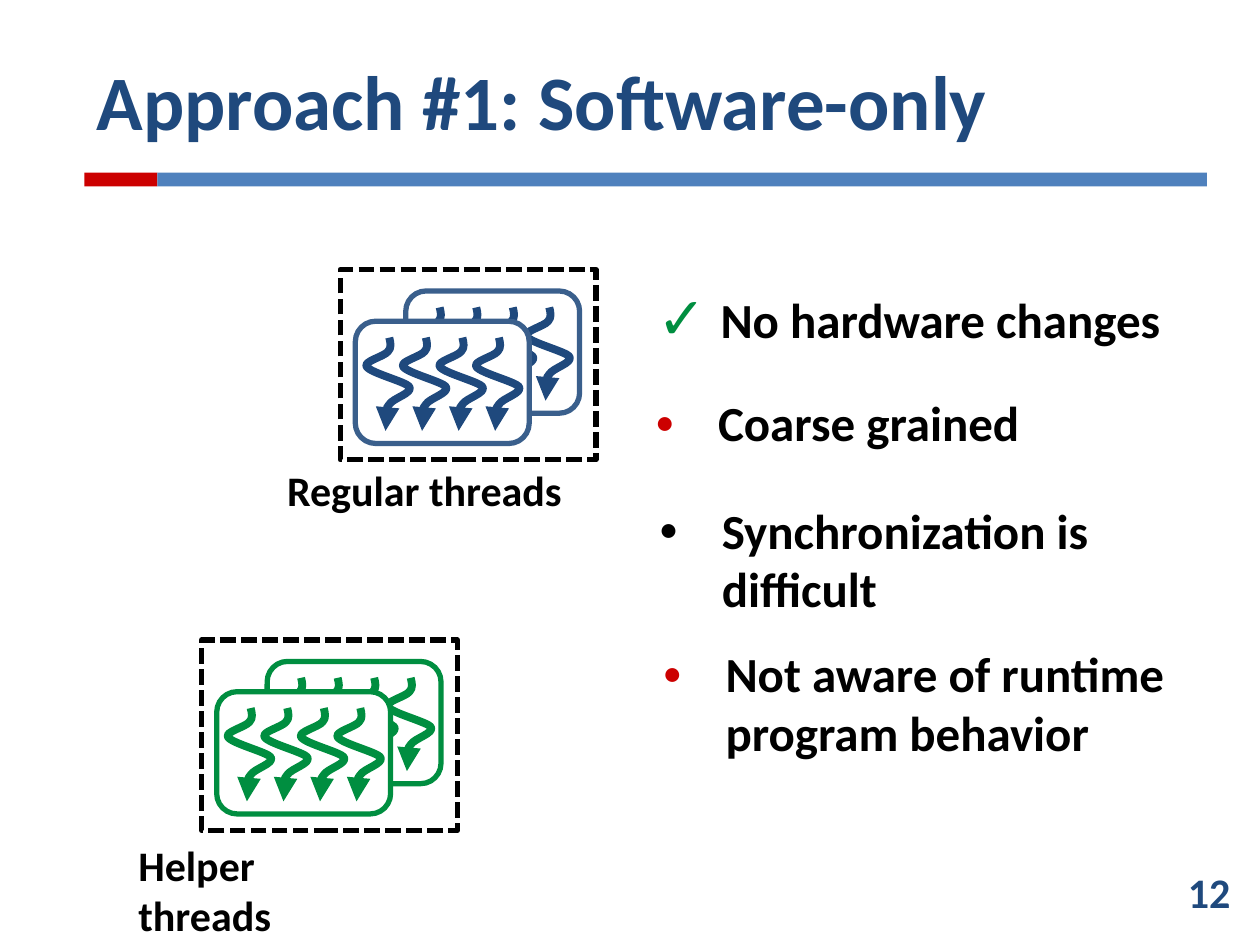
from lxml import etree
from pptx import Presentation
from pptx import util as u
from pptx.dml.color import RGBColor
from pptx.enum import dml, shapes, text
from pptx.oxml import ns

PX = 9144
NAVY, GREEN, RED, BLACK = "1F497D", "008E40", "CC0000", "000000"
WAVE = [
    ((19, 4), (20, 8), (17, 11)),
    ((14, 15), (-3, 19), (0, 23)),
    ((3, 28), (31, 35), (34, 39)),
    ((37, 44), (21, 48), (18, 53)),
    ((15, 57), (16, 62), (15, 66)),
    ((15, 69), (15, 74), (15, 74)),
]
WAVE_START = 18


def color(value):
    return RGBColor.from_string(value)


def px(*values):
    return [value * PX for value in values]


class SlideBuilder:
    font = "Calibri"

    def __init__(self, slide):
        self.slide = slide

    def finish(self, shape, fill=None, line=None, width=3):
        shape.shadow.inherit = False
        if fill:
            shape.fill.solid()
            shape.fill.fore_color.rgb = color(fill)
        else:
            shape.fill.background()
        if line:
            shape.line.color.rgb = color(line)
            shape.line.width = u.Pt(width)
        else:
            shape.line.fill.background()
        return shape

    def box(self, bounds, fill=None, line=None, kind="RECTANGLE", parent=None):
        preset = getattr(shapes.MSO_SHAPE, kind)
        shape = (parent or self.slide).shapes.add_shape(preset, *px(*bounds))
        return self.finish(shape, fill, line)

    def thread(self, parent, left, top, line):
        builder = parent.shapes.build_freeform(left + WAVE_START, top, scale=PX)
        ends = [(left + x, top + y) for _, _, (x, y) in WAVE]
        builder.add_line_segments(ends, close=False)
        shape = self.finish(builder.convert_to_shape(), line=line, width=4.5)
        segments = list(shape._element.iter(ns.qn("a:lnTo")))
        for segment, points in zip(segments, WAVE):
            curve = etree.Element(ns.qn("a:cubicBezTo"))
            for x, y in points:
                etree.SubElement(curve, ns.qn("a:pt"), x=str(x), y=str(y))
            segment.getparent().replace(segment, curve)
        outline = shape.line._get_or_add_ln()
        etree.SubElement(outline, ns.qn("a:tailEnd"), type="triangle")

    def card(self, left, top, border, thread_color):
        group = self.slide.shapes.add_group_shape()
        self.box((left, top, 138, 97), "FFFFFF", border, "ROUNDED_RECTANGLE", group)
        for index in range(4):
            self.thread(group, left + 9 + 29 * index, top + 13, thread_color)

    def thread_pool(self, left, top, border, thread_color):
        frame = self.box((left, top, 203, 151), line=BLACK)
        frame.line.dash_style = dml.MSO_LINE.SQUARE_DOT
        self.card(left + 52, top + 17, border, thread_color)
        self.card(left + 12, top + 41, border, thread_color)

    def label(self, bounds, words, size, fill=BLACK, anchor="TOP", right_inset=10):
        shape = self.slide.shapes.add_textbox(*px(*bounds))
        frame = shape.text_frame
        frame.word_wrap = True
        frame.vertical_anchor = getattr(text.MSO_ANCHOR, anchor)
        frame.margin_right = px(right_inset)[0]
        frame.text = words
        paragraph = frame.paragraphs[0]
        for run in paragraph.runs:
            run.font.name = self.font
            run.font.size = u.Pt(size)
            run.font.bold = True
            run.font.color.rgb = color(fill)
        return paragraph

    def bullet(self, bounds, words, mark="•", mark_color=RED, percent=80):
        paragraph = self.label(bounds, words, 28)
        properties = paragraph._p.get_or_add_pPr()
        indent = px(50)[0]
        properties.set("marL", str(indent))
        properties.set("indent", str(-indent))
        holder = etree.SubElement(properties, ns.qn("a:buClr"))
        etree.SubElement(holder, ns.qn("a:srgbClr"), val=mark_color)
        etree.SubElement(properties, ns.qn("a:buSzPct"), val=str(percent * 1000))
        etree.SubElement(properties, ns.qn("a:buFont"), typeface=self.font)
        etree.SubElement(properties, ns.qn("a:buChar"), char=mark)


def main():
    presentation = Presentation()
    presentation.slide_width, presentation.slide_height = px(1000, 750)
    builder = SlideBuilder(presentation.slides.add_slide(presentation.slide_layouts[6]))

    builder.box((67, 137, 58, 11), RED)
    builder.box((125, 137, 833, 11), "4F81BD")
    builder.label((67, 25, 892, 108), "Approach #1: Software-only", 44, NAVY, "MIDDLE")

    builder.thread_pool(270, 214, "3A5F8C", NAVY)
    builder.label((218, 364, 241, 50), "Regular threads", 24)
    builder.thread_pool(160, 508, GREEN, GREEN)
    builder.label((100, 661, 224, 50), "Helper threads", 24, right_inset=60)

    builder.bullet((512, 225, 432, 57), "No hardware changes", "✓", GREEN, 120)
    builder.bullet((510, 307, 529, 57), "Coarse grained")
    builder.bullet((516, 506, 455, 218), "Not aware of runtime program behavior")
    builder.label((933, 683, 67, 67), "12", 24, NAVY)
    builder.bullet((513, 392, 485, 135), "Synchronization is difficult", mark_color=BLACK)

    presentation.save("out.pptx")


if __name__ == "__main__":
    main()
